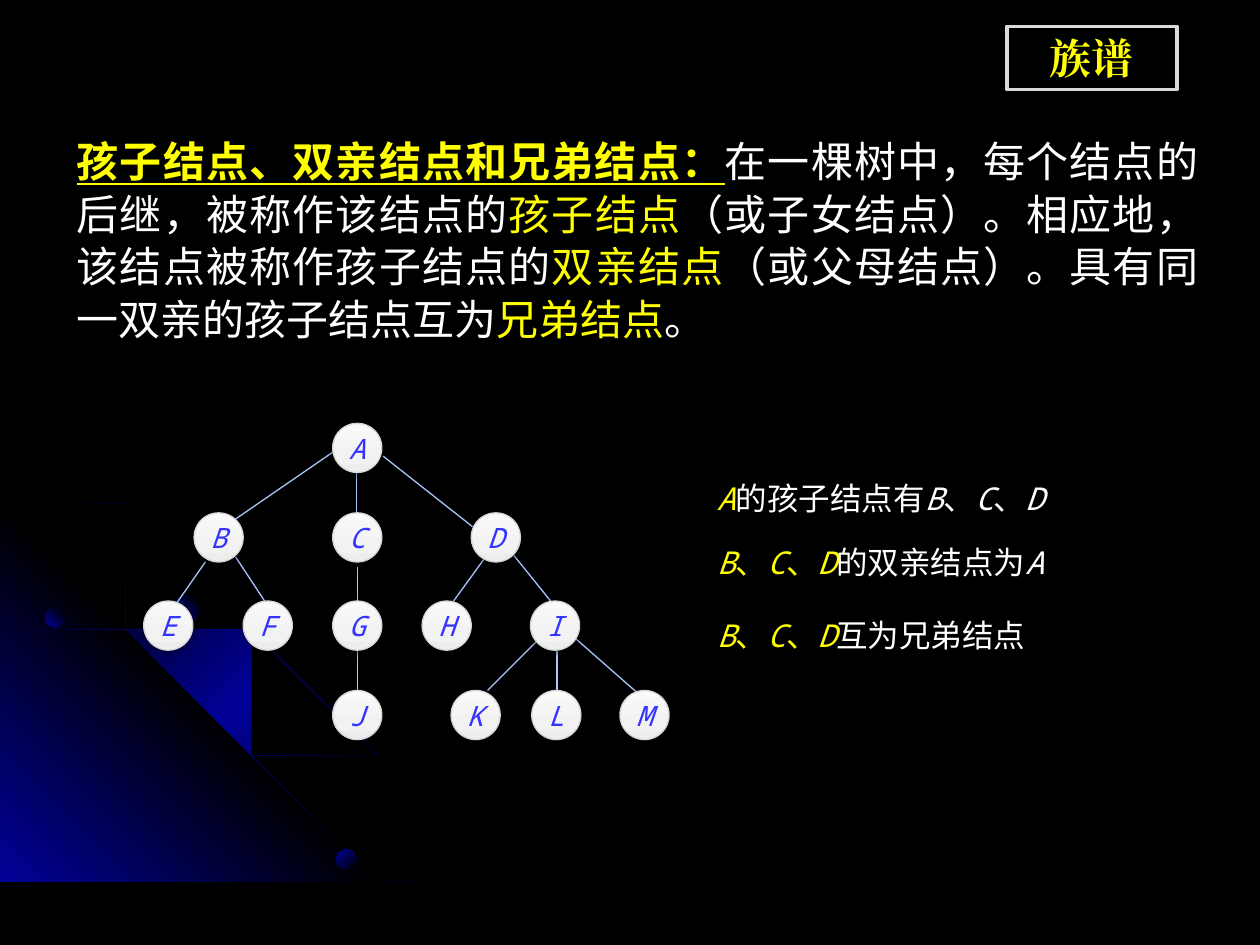
from itertools import groupby

from lxml.etree import SubElement
from pptx import Presentation
from pptx.dml.color import RGBColor
from pptx.enum.shapes import MSO_CONNECTOR, MSO_SHAPE
from pptx.enum.text import MSO_ANCHOR, MSO_AUTO_SIZE, PP_ALIGN
from pptx.oxml.ns import qn
from pptx.util import Inches, Pt

BLACK = RGBColor(0x00, 0x00, 0x00)
WHITE = RGBColor(0xFF, 0xFF, 0xFF)
YELLOW = RGBColor(0xFF, 0xFF, 0x00)
NAVY = RGBColor(0x01, 0x01, 0x99)
LETTER_BLUE = RGBColor(0x33, 0x33, 0xFF)
EDGE_BLUE = RGBColor(0xA7, 0xC5, 0xFB)
NODE_RIM = RGBColor(0xD5, 0xD5, 0xD5)
FRAME_GREY = RGBColor(0xDA, 0xDA, 0xDA)

ARC_STOPS = [(0, BLACK), (50, NAVY), (100, BLACK)]
WEDGE_STOPS = [(0, NAVY), (50, BLACK), (100, NAVY)]
DOT_STOPS = [(0, NAVY), (100, BLACK)]
NODE_STOPS = [(0, RGBColor(0xED, 0xED, 0xED)), (35, RGBColor(0xF2, 0xF2, 0xF2)),
              (100, RGBColor(0xFA, 0xFA, 0xFA))]

SANS, MONO, SERIF = "Noto Sans CJK SC", "Noto Sans Mono", "Times New Roman"

# Background outlines, in inches
OUTER_ARC = [
    (0.57, 4.47), (0.28, 4.41), (0, 4.35), (0, 4.38), (0.28, 4.43), (0.56, 4.49),
    (0.97, 4.61), (1.35, 4.78), (1.73, 4.99), (2.08, 5.23), (2.41, 5.49), (2.71, 5.79),
    (2.98, 6.12), (3.23, 6.49), (3.37, 6.73), (3.5, 6.98), (3.6, 7.23), (3.7, 7.49),
    (3.72, 7.49), (3.62, 7.23), (3.52, 6.98), (3.39, 6.73), (3.25, 6.48), (3, 6.11),
    (2.72, 5.78), (2.42, 5.48), (2.09, 5.21), (1.74, 4.97), (1.36, 4.77), (0.98, 4.59)]
WEDGE = [(3.22, 7.49), (0, 7.49), (0, 4.27)]
INNER_ARC = [
    (2.85, 7.14), (2.94, 7.32), (3.01, 7.49), (3.03, 7.49), (2.96, 7.3), (2.86, 7.12),
    (2.66, 6.76), (2.42, 6.4), (2.15, 6.06), (1.84, 5.76), (1.52, 5.49), (1.17, 5.26),
    (0.79, 5.05), (0.41, 4.88), (0, 4.75), (0, 4.77), (0.39, 4.9), (0.77, 5.07),
    (1.15, 5.28), (1.5, 5.51), (1.83, 5.78), (2.13, 6.08), (2.4, 6.41), (2.65, 6.77)]
MIDDLE_ARC = [
    (0, 4.42), (0, 4.44), (0.36, 4.57), (0.74, 4.75), (1.09, 4.94), (1.42, 5.18),
    (1.73, 5.44), (2.02, 5.75), (2.27, 6.05), (2.52, 6.41), (2.67, 6.67), (2.8, 6.94),
    (2.92, 7.22), (3.01, 7.49), (3.03, 7.49), (2.94, 7.2), (2.82, 6.93), (2.69, 6.65),
    (2.54, 6.39), (2.29, 6.03), (2.04, 5.73), (1.75, 5.43), (1.44, 5.16), (1.11, 4.93),
    (0.76, 4.73), (0.39, 4.55)]
DOTS = [(0.36, 4.83, 0.15, 315), (2.67, 6.74, 0.16, 45), (1.37, 4.73, 0.21, 315)]

# Tree: each level has its top and the left of every node
NODE_SIZE = 0.39
LEVELS = [
    (3.36, {"A": 2.64}),
    (4.07, {"B": 1.54, "C": 2.64, "D": 3.74}),
    (4.77, {"E": 1.14, "F": 1.93, "G": 2.64, "H": 3.35, "I": 4.21}),
    (5.48, {"J": 2.64, "K": 3.58, "L": 4.22, "M": 4.92})]
EDGES = [
    (2.64, 3.59, 1.84, 4.14), (2.83, 3.75, 2.83, 4.06), (3.04, 3.62, 3.75, 4.18),
    (1.63, 4.46, 1.4, 4.79), (1.87, 4.42, 2.1, 4.77), (2.84, 4.5, 2.84, 4.78),
    (3.84, 4.44, 3.6, 4.77), (4.08, 4.41, 4.37, 4.77), (2.84, 5.17, 2.84, 5.48),
    (4.26, 5.09, 3.87, 5.48), (4.42, 5.17, 4.42, 5.48), (4.57, 5.07, 5.06, 5.5)]

DEFINITION = [
    ("在一棵树中，每个结点的后继，被称作该结点的", WHITE), ("孩子结点", YELLOW),
    ("（或子女结点）。相应地，该结点被称作孩子结点的", WHITE), ("双亲结点", YELLOW),
    ("（或父母结点）。具有同一双亲的孩子结点互为", WHITE), ("兄弟结点", YELLOW),
    ("。", WHITE)]
EXAMPLES = [
    (3.75, "A", "的孩子结点有B、C、D"),
    (4.26, "B、C、D", "的双亲结点为A"),
    (4.84, "B、C、D", "互为兄弟结点")]


def add_span(para, text, *, size, font, color, bold=False, italic=False, underline=False):
    span = para.add_run()
    span.text = text
    style = span.font
    style.size, style.name = Pt(size), font
    style.bold, style.italic, style.underline = bold, italic, underline
    style.color.rgb = color
    latin = span._r.rPr.find(qn("a:latin"))
    east_asian = latin.makeelement(qn("a:ea"), {"typeface": font})
    latin.addnext(east_asian)


def place(shape, left, top, width, height):
    shape.left, shape.top = Inches(left), Inches(top)
    shape.width, shape.height = Inches(width), Inches(height)


def paint_gradient(shape, stops, clockwise_angle):
    shape.fill.gradient()
    shape.fill.gradient_angle = 360 - clockwise_angle
    stop_list = shape._element.spPr.find(qn("a:gradFill")).find(qn("a:gsLst"))
    for stop in list(stop_list):
        stop_list.remove(stop)
    for position, color in stops:
        stop = SubElement(stop_list, qn("a:gs"), pos=str(position * 1000))
        SubElement(stop, qn("a:srgbClr"), val=str(color))


def add_outline(page, points, stops, angle):
    builder = page.shapes.build_freeform(*points[0], scale=Inches(1))
    builder.add_line_segments(points[1:], close=True)
    shape = builder.convert_to_shape()
    shape.shadow.inherit = False
    shape.line.fill.background()
    paint_gradient(shape, stops, angle)


def add_disc(page, left, top, size, stops, angle):
    disc = page.shapes.add_shape(MSO_SHAPE.OVAL, Inches(left), Inches(top),
                                 Inches(size), Inches(size))
    disc.shadow.inherit = False
    disc.line.fill.background()
    paint_gradient(disc, stops, angle)
    return disc


def add_node(page, letter, left, top):
    node = add_disc(page, left, top, NODE_SIZE, NODE_STOPS, 270)
    node.line.color.rgb = NODE_RIM
    node.line.width = Pt(0.75)
    # Soft shadow below the node
    effects = node._element.spPr.find(qn("a:effectLst"))
    shadow = SubElement(effects, qn("a:outerShdw"), blurRad=str(Pt(3.1)),
                        dist=str(Pt(1.6)), dir="5400000", rotWithShape="0")
    color = SubElement(shadow, qn("a:srgbClr"), val=str(BLACK))
    SubElement(color, qn("a:alpha"), val="38000")
    frame = node.text_frame
    frame.word_wrap = False
    frame.vertical_anchor = MSO_ANCHOR.MIDDLE
    para = frame.paragraphs[0]
    para.alignment = PP_ALIGN.CENTER
    add_span(para, letter, size=16, font=MONO, color=LETTER_BLUE, italic=True)


def add_edge(page, *ends):
    edge = page.shapes.add_connector(MSO_CONNECTOR.STRAIGHT, *map(Inches, ends))
    edge.line.color.rgb = EDGE_BLUE
    edge.line.width = Pt(0.75)
    SubElement(edge._element.spPr, qn("a:effectLst"))


def add_example(page, top, subject, statement):
    box = page.shapes.add_textbox(Inches(5.59), Inches(top), Inches(3.91), Inches(0.4))
    box.text_frame.word_wrap = True
    para = box.text_frame.paragraphs[0]
    for text, color in ((subject, YELLOW), (statement, WHITE)):
        # Node letters are italic, the words between them upright
        for is_letter, part in groupby(text, str.isascii):
            add_span(para, "".join(part), size=18, font=MONO, color=color, italic=is_letter)


def fill_title(title):
    place(title, 7.99, 0.21, 1.35, 0.5)
    title.line.color.rgb = FRAME_GREY
    title.line.width = Pt(2)
    title.text_frame.auto_size = MSO_AUTO_SIZE.NONE
    title.text_frame.vertical_anchor = MSO_ANCHOR.MIDDLE
    para = title.text_frame.paragraphs[0]
    para.alignment = PP_ALIGN.CENTER
    add_span(para, "族谱", size=24, font=SERIF, color=YELLOW, bold=True)


def fill_definition(body):
    place(body, 0.51, 1.01, 9.1, 1.78)
    body.text_frame.auto_size = MSO_AUTO_SIZE.NONE
    para = body.text_frame.paragraphs[0]
    properties = para._p.get_or_add_pPr()
    properties.set("marL", "0")
    properties.set("indent", "0")
    SubElement(properties, qn("a:buNone"))
    para.alignment = PP_ALIGN.JUSTIFY
    para.line_spacing = Pt(30)
    para.space_before = Pt(0)
    add_span(para, "孩子结点、双亲结点和兄弟结点：", size=24, font=SANS, color=YELLOW,
             bold=True, underline=True)
    for text, color in DEFINITION:
        add_span(para, text, size=24, font=SANS, color=color)


def main():
    deck = Presentation()
    deck.slide_width, deck.slide_height = Inches(10), Inches(7.5)
    page = deck.slides.add_slide(deck.slide_layouts[1])
    page.background.fill.solid()
    page.background.fill.fore_color.rgb = BLACK

    # Background glow, arcs and dots
    add_outline(page, OUTER_ARC, ARC_STOPS, 45)
    add_outline(page, WEDGE, WEDGE_STOPS, 315)
    for arc in (INNER_ARC, MIDDLE_ARC):
        add_outline(page, arc, ARC_STOPS, 45)
    for left, top, size, angle in DOTS:
        add_disc(page, left, top, size, DOT_STOPS, angle)

    # Heading and definition
    fill_title(page.shapes.title)
    fill_definition(page.placeholders[1])

    # Tree
    for ends in EDGES:
        add_edge(page, *ends)
    for top, nodes in LEVELS:
        for letter, left in nodes.items():
            add_node(page, letter, left, top)

    # Relations read from the tree
    for example in EXAMPLES:
        add_example(page, *example)

    deck.save("out.pptx")


if __name__ == "__main__":
    main()
